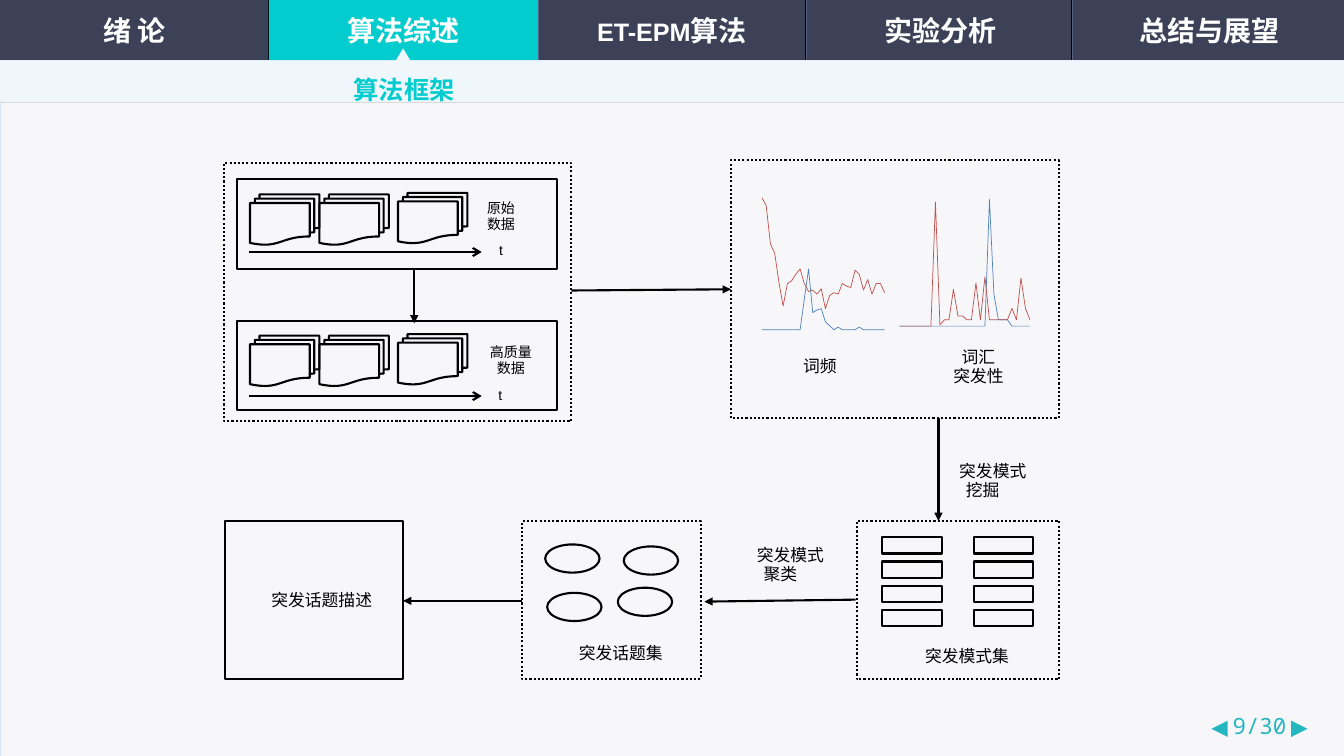
"""Builds the algorithm framework slide: header tabs and the five-stage flow diagram."""
from lxml import etree
from pptx import Presentation
from pptx.chart.data import CategoryChartData
from pptx.dml.color import RGBColor
from pptx.enum import chart as charts, dml, shapes, text
from pptx.oxml import parse_xml
from pptx.oxml.ns import nsdecls, qn
from pptx.util import Cm, Pt

BLACK = RGBColor(0x00, 0x00, 0x00)
WHITE = RGBColor(0xFF, 0xFF, 0xFF)
NAVY = RGBColor(0x3C, 0x41, 0x57)
NAVY_LIGHT = RGBColor(0x59, 0x61, 0x81)
TURQUOISE = RGBColor(0x03, 0xCC, 0xCE)
TEAL = RGBColor(0x25, 0xB7, 0xC0)
PAPER = RGBColor(0xF7, 0xF7, 0xF9)
PALE_BLUE = RGBColor(0xEF, 0xF6, 0xFC)
EDGE_BLUE = RGBColor(0xD4, 0xE7, 0xF9)
GREY = RGBColor(0xD9, 0xD9, 0xD9)
CHART_BLUE = RGBColor(0x4F, 0x81, 0xBD)
CHART_RED = RGBColor(0xC0, 0x50, 0x4D)
CJK_FONT = "Noto Sans CJK SC"
SHAPE = shapes.MSO_SHAPE
CENTER = text.PP_ALIGN.CENTER
MIDDLE = text.MSO_ANCHOR.MIDDLE
WIDTH, HEIGHT, HEADER = 33.87, 19.05, 1.52

presentation = Presentation()
presentation.slide_width, presentation.slide_height = Cm(WIDTH), Cm(HEIGHT)
slide = presentation.slides.add_slide(presentation.slide_layouts[5])


def add_box(kind, left, top, width, height, fill=None, line=None, weight=1.5, dash=None):
    shape = slide.shapes.add_shape(kind, Cm(left), Cm(top), Cm(width), Cm(height))
    shape.shadow.inherit = False
    for part, color in ((shape.fill, fill), (shape.line.fill, line)):
        if color is None:
            part.background()
        else:
            part.solid()
            part.fore_color.rgb = color
    if line is not None:
        shape.line.width = Pt(weight)
    if dash:
        shape.line.dash_style = dash
    return shape


def add_line(x1, y1, x2, y2, color=BLACK, weight=1.5, arrow=None):
    line = slide.shapes.add_connector(
        shapes.MSO_CONNECTOR.STRAIGHT, Cm(x1), Cm(y1), Cm(x2), Cm(y2))
    line.line.color.rgb = color
    line.line.width = Pt(weight)
    properties = line.element.spPr
    if arrow:
        etree.SubElement(properties.find(qn("a:ln")), qn("a:tailEnd"), type=arrow)
    etree.SubElement(properties, qn("a:effectLst"))


add_box(SHAPE.RECTANGLE, 0, 0, WIDTH, HEADER, NAVY)
add_box(SHAPE.RECTANGLE, 0, HEADER, WIDTH, HEIGHT - HEADER, PAPER, EDGE_BLUE, 0.5)
for x in (6.76, 13.53, 20.29, 27):
    add_line(x, 0, x, HEADER, BLACK, 0.5)
    add_line(x + 0.04, 0, x + 0.04, HEADER, NAVY_LIGHT, 0.75)
add_box(SHAPE.RECTANGLE, 6.78, 0, 6.78, HEADER, TURQUOISE)

builder = slide.shapes.build_freeform(Cm(10.16), Cm(1.22))
builder.add_line_segments([(Cm(x), Cm(y)) for x, y in (
    (10.34, HEADER), (WIDTH, HEADER), (WIDTH, 2.59), (0, 2.59), (0, HEADER), (9.98, HEADER))])
subheader = builder.convert_to_shape()
subheader.shadow.inherit = False
subheader.fill.solid()
subheader.fill.fore_color.rgb = PALE_BLUE
subheader.line.fill.background()
add_line(0, 2.59, WIDTH, 2.59, GREY, 0.5)

tabs = [[("绪 论", 20, CJK_FONT)], [("算法综述", 20, CJK_FONT)],
        [("ET-EPM", 18, "Arial"), ("算法", 20, CJK_FONT)],
        [("实验分析", 20, CJK_FONT)], [("总结与展望", 20, CJK_FONT)]]
for index, tab_runs in enumerate(tabs):
    tab = slide.shapes.add_textbox(Cm(0.03 + 6.77 * index), Cm(0.25), Cm(6.73), Cm(1.04))
    tab.text_frame.word_wrap = True
    tab.text_frame.vertical_anchor = MIDDLE
    paragraph = tab.text_frame.paragraphs[0]
    paragraph.alignment = CENTER
    for words, size, font_name in tab_runs:
        run = paragraph.add_run()
        run.text = words
        run.font.size, run.font.name, run.font.bold = Pt(size), font_name, True
        run.font.color.rgb = WHITE

title = slide.shapes.title
title.element.getparent().append(title.element)
title.left, title.top, title.width, title.height = Cm(8.56), Cm(1.37), Cm(3.25), Cm(1.37)
title.text_frame.text = "算法框架"
title.text_frame.vertical_anchor = MIDDLE
title.text_frame.paragraphs[0].line_spacing = 1.5
page_number = slide.shapes.add_textbox(Cm(30.66), Cm(17.83), Cm(2.16), Cm(1.02))
page_number.text_frame.text = "9/30"
for shape, size, font_name, color in ((title, 18, "Arial", TURQUOISE),
                                      (page_number, 16, "Noto Sans Mono", TEAL)):
    shape.text_frame.word_wrap = False
    paragraph = shape.text_frame.paragraphs[0]
    paragraph.alignment = CENTER
    paragraph.font.size, paragraph.font.name = Pt(size), font_name
    paragraph.font.bold = shape is title
    paragraph.font.color.rgb = color
for left, rotation in ((32.54, 90), (30.53, 270)):
    add_box(SHAPE.ISOSCELES_TRIANGLE, left, 18.16, 0.41, 0.41, TEAL).rotation = rotation

for panel_top, time_axis in ((4.52, 6.35), (8.08, 9.98)):
    add_box(SHAPE.RECTANGLE, 5.98, panel_top, 8.07, 2.26, line=BLACK)
    for left, offset in ((6.3, 0.38), (8.05, 0.38), (10.03, 0.34)):
        add_box(SHAPE.FLOWCHART_MULTIDOCUMENT, left, panel_top + offset, 1.75, 1.27, line=BLACK)
    add_line(6.27, time_axis, 12.14, time_axis, arrow="arrow")

for left, top, width, height, dash in (
        (5.64, 4.11, 8.76, 6.5, dml.MSO_LINE.ROUND_DOT),
        (18.42, 4.04, 8.26, 6.5, dml.MSO_LINE.ROUND_DOT),
        (21.59, 13.13, 5.11, 3.99, dml.MSO_LINE.ROUND_DOT),
        (13.16, 13.13, 4.5, 3.99, dml.MSO_LINE.ROUND_DOT),
        (5.66, 13.13, 4.5, 3.99, None)):
    add_box(SHAPE.RECTANGLE, left, top, width, height, line=BLACK, dash=dash)
for left, top in ((13.74, 13.72), (13.79, 14.94), (15.72, 13.77), (15.57, 14.81)):
    add_box(SHAPE.OVAL, left, top, 1.37, 0.71, line=BLACK)
for left in (22.23, 24.54):
    for row in range(4):
        add_box(SHAPE.RECTANGLE, left, 13.54 + 0.61 * row, 1.5, 0.41, line=BLACK)
for ends in ((10.44, 6.78, 10.44, 8.15), (14.4, 7.32, 18.42, 7.29), (23.65, 10.54, 23.65, 13.13),
             (21.56, 15.11, 17.75, 15.16), (13.16, 15.14, 10.16, 15.14)):
    add_line(*ends, arrow="triangle")

word_frequency = [
    [0, 0, 0, 0, 0, 0, 0, 0, 0, 0, 23, 46, 13, 15, 16, 6, 3, 0, 2, 0, 0, 0, 0, 2, 0, 0, 0, 0, 0, 0],
    [100, 94, 65, 58, 36, 18, 35, 37, 42, 46, 35, 29, 30, 27, 31,
     16, 26, 28, 27, 35, 33, 32, 45, 42, 30, 38, 27, 35, 35, 28]]
word_burst = [
    [0] * 20 + [100, 25, 5, 5, 5, 0, 0, 0, 0, 0],
    [0, 0, 0, 0, 0, 0, 0, 0, 98, 1, 5, 5, 29, 8, 8,
     5, 5, 34, 5, 39, 5, 5, 5, 5, 5, 14, 5, 38, 14, 5]]
for values, frame, plot_area, maximum in (
        (word_frequency, (19.15, 4.55, 3.2, 4.09), (0, 0, 1, 0.92), 113),
        (word_burst, (22.61, 4.55, 3.51, 3.99), (0, 0.08, 0.97, 0.84), 105)):
    data = CategoryChartData()
    data.categories = [str(number) for number in range(1, 31)]
    for number, series_values in enumerate(values, 1):
        data.add_series(f"Series {number}", series_values)
    chart = slide.shapes.add_chart(
        charts.XL_CHART_TYPE.LINE, *[Cm(length) for length in frame], data).chart
    chart.has_legend = chart.has_title = False
    chart.font.size, chart.font.name = Pt(10), "Arial"
    chart.font.color.rgb = BLACK
    chart.plots[0].vary_by_categories = False
    chart.value_axis.minimum_scale, chart.value_axis.maximum_scale = 0, maximum
    for axis in (chart.category_axis, chart.value_axis):
        axis.has_major_gridlines = False
        axis.visible = False
    for series, color in zip(chart.plots[0].series, (CHART_BLUE, CHART_RED)):
        series.smooth = False
        series.marker.style = charts.XL_MARKER_STYLE.NONE
        series.format.line.width = Pt(0.5)
        series.format.line.color.rgb = color
    plot = chart.element.find(".//" + qn("c:plotArea"))
    for old_layout in plot.findall(qn("c:layout")):
        plot.remove(old_layout)
    x, y, width, height = plot_area
    plot.insert(0, parse_xml(
        f'<c:layout {nsdecls("c")}><c:manualLayout><c:layoutTarget val="inner"/>'
        f'<c:xMode val="edge"/><c:yMode val="edge"/><c:x val="{x}"/><c:y val="{y}"/>'
        f'<c:w val="{width}"/><c:h val="{height}"/></c:manualLayout></c:layout>'))

for words, left, top, width, height, size, indent in (
        ("t", 12.2, 6.12, 0.5, 0.42, 10, 0.36),
        ("t", 12.18, 9.75, 0.5, 0.42, 10, 0.36),
        ("原始数据", 12.17, 4.98, 0.91, 0.97, 10, 0),
        ("高质量\n数据", 12.14, 8.36, 1.47, 1.47, 10, 0),
        ("词频", 19.28, 8.66, 2.49, 1.19, 12, 0.28),
        ("词汇\n突发性", 23.16, 8.66, 2.49, 1.19, 12, 0.51),
        ("突发模式挖掘", 23.52, 11.13, 2.49, 2.01, 12, 0.51),
        ("突发模式聚类", 18.42, 13.39, 2.49, 1.7, 12, 0.51),
        ("突发模式集", 21.97, 16.13, 4.29, 0.84, 12, 0.51),
        ("突发话题集", 13.28, 15.98, 4.22, 0.99, 12, 0.51),
        ("突发话题描述", 6.05, 13.94, 3.61, 2.39, 12, 0.51)):
    label = slide.shapes.add_textbox(Cm(left), Cm(top), Cm(width), Cm(height))
    frame = label.text_frame
    frame.margin_left = frame.margin_right = frame.margin_top = frame.margin_bottom = 0
    frame.word_wrap = True
    frame.vertical_anchor = MIDDLE
    frame.text = words
    for paragraph in frame.paragraphs:
        paragraph.alignment, paragraph.line_spacing = CENTER, 0.95
        paragraph.font.size, paragraph.font.name = Pt(size), "Arial"
        paragraph.font.color.rgb = BLACK
        paragraph.element.get_or_add_pPr().set("indent", str(Cm(indent)) if indent else "0") if hasattr(
            paragraph, "element") else paragraph._p.get_or_add_pPr().set("indent", str(int(Cm(indent))))

for latin in list(slide.element.iter(qn("a:latin"))):
    latin.addnext(parse_xml(f'<a:ea {nsdecls("a")} typeface="{CJK_FONT}"/>'))

presentation.save("out.pptx")
